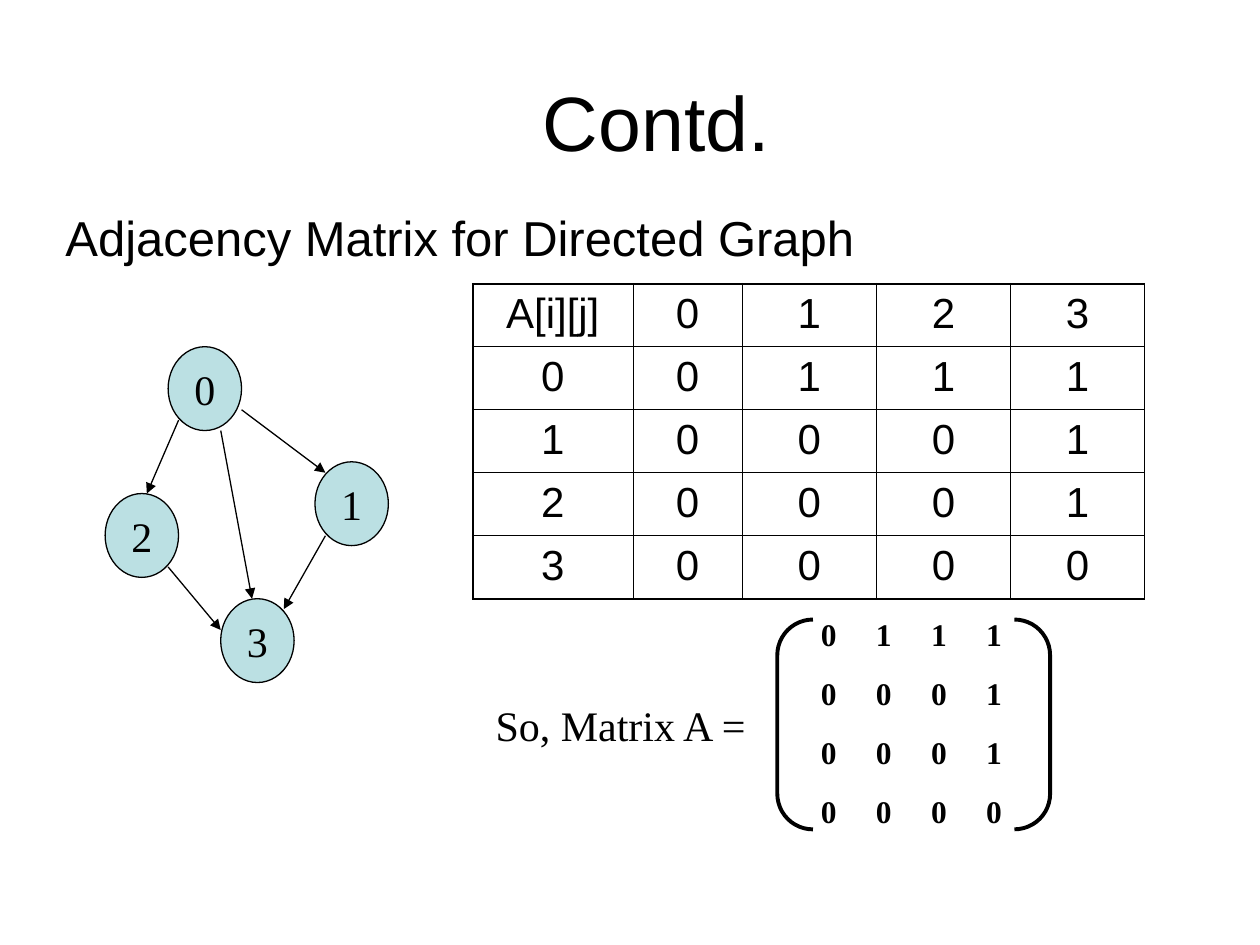
"""Build the slide on the adjacency matrix of a directed graph."""
from typing import NamedTuple

from lxml.etree import SubElement
from pptx import Presentation
from pptx.dml.color import RGBColor
from pptx.enum.shapes import MSO_CONNECTOR, MSO_SHAPE
from pptx.enum.text import MSO_ANCHOR, PP_ALIGN
from pptx.oxml.ns import qn
from pptx.util import Cm, Pt

HUES = {"ink": "000000", "node": "BBE0E3"}
SANS, SERIF = "Arial", "Times New Roman"
ROWS = ["0111", "0001", "0001", "0000"]
COLS = [3.23, 2.2, 2.71, 2.7, 2.7]
STEP = 1.11


class Style(NamedTuple):
    face: str
    size: int
    bold: bool = False
    align: PP_ALIGN = PP_ALIGN.LEFT


class Label(NamedTuple):
    text: str
    left: float
    top: float
    width: float
    height: float
    style: Style
    anchor: MSO_ANCHOR = MSO_ANCHOR.TOP


class Node(NamedTuple):
    name: str
    left: float
    top: float


class Edge(NamedTuple):
    x1: float
    y1: float
    x2: float
    y2: float


NODE = Style(SERIF, 24, align=PP_ALIGN.CENTER)
CELL = Style(SANS, 24, align=PP_ALIGN.CENTER)
ENTRY = Style(SERIF, 18, bold=True)
LABELS = [
    Label("Contd.", 1.27, 0.84, 23.93, 3.18,
          Style(SANS, 44, align=PP_ALIGN.CENTER), MSO_ANCHOR.MIDDLE),
    Label("Adjacency Matrix for Directed Graph", 1.07, 4.06, 17.98, 1.45,
          Style(SANS, 28)),
    Label("So, Matrix A =", 9.74, 13.97, 6.14, 1.27, Style(SERIF, 24)),
]
NODES = [
    Node("0", 3.39, 6.99),
    Node("1", 6.35, 9.31),
    Node("3", 4.45, 12.07),
    Node("2", 2.12, 9.95),
]
EDGES = [
    Edge(3.6, 8.47, 2.96, 9.95),
    Edge(3.39, 11.43, 4.45, 12.7),
    Edge(4.87, 8.26, 6.56, 9.53),
    Edge(6.56, 10.8, 5.72, 12.28),
    Edge(4.45, 8.68, 5.08, 12.07),
]


def hue(key: str) -> RGBColor:
    """Return a named colour."""
    return RGBColor.from_string(HUES[key])


def write(para, text: str, style: Style) -> None:
    """Add one styled run to a paragraph."""
    para.alignment = style.align
    run = para.add_run()
    run.text = text
    run.font.name = style.face
    run.font.size = Pt(style.size)
    run.font.bold = style.bold
    run.font.color.rgb = hue("ink")


def stroke(shape, width: float) -> None:
    """Give a shape or line a plain ink line."""
    shape.line.color.rgb = hue("ink")
    shape.line.width = Pt(width)


def add_box(shapes, left: float, top: float, width: float, height: float):
    """Add a wrapped text box and return its frame."""
    box = shapes.add_textbox(Cm(left), Cm(top), Cm(width), Cm(height))
    box.text_frame.word_wrap = True
    return box.text_frame


def add_label(shapes, label: Label) -> None:
    """Draw one line of text."""
    frame = add_box(shapes, *label[1:5])
    frame.vertical_anchor = label.anchor
    write(frame.paragraphs[0], label.text, label.style)


def add_node(shapes, node: Node) -> None:
    """Draw one vertex of the graph."""
    oval = shapes.add_shape(MSO_SHAPE.OVAL, Cm(node.left), Cm(node.top),
                            Cm(1.48), Cm(1.69))
    oval.shadow.inherit = False
    oval.fill.solid()
    oval.fill.fore_color.rgb = hue("node")
    stroke(oval, 0.75)
    frame = oval.text_frame
    frame.word_wrap = False
    frame.vertical_anchor = MSO_ANCHOR.MIDDLE
    write(frame.paragraphs[0], node.name, NODE)


def add_edge(shapes, edge: Edge) -> None:
    """Draw one arrow of the graph."""
    line = shapes.add_connector(MSO_CONNECTOR.STRAIGHT, *map(Cm, edge))
    stroke(line, 0.75)
    props = line.element.spPr
    SubElement(props.find(qn("a:ln")), qn("a:tailEnd"), type="triangle")
    SubElement(props, qn("a:effectLst"))


def rule(cell, side: str, width: float) -> None:
    """Draw one border of a cell."""
    props = cell._tc.get_or_add_tcPr()
    line = SubElement(props, qn(f"a:ln{side}"), w=str(Pt(width)))
    fill = SubElement(line, qn("a:solidFill"))
    SubElement(fill, qn("a:srgbClr"), val=HUES["ink"])


def add_grid(shapes) -> None:
    """Draw the table of vertex pairs."""
    data = [["A[i][j]", *"0123"]]
    data += [[str(i), *row] for i, row in enumerate(ROWS)]
    last = len(data) - 1
    table = shapes.add_table(len(data), len(COLS), Cm(9.53), Cm(5.72),
                             Cm(sum(COLS)), Cm(1.27 * len(data))).table
    table.first_row = table.horz_banding = False
    for col, width in zip(table.columns, COLS):
        col.width = Cm(width)
    for i, row in enumerate(data):
        for j, text in enumerate(row):
            cell = table.cell(i, j)
            outer = {"L": j == 0, "R": j == last, "T": i == 0, "B": i == last}
            for side, edge in outer.items():
                rule(cell, side, 1.08 if edge else 0.45)
            cell.fill.background()
            write(cell.text_frame.paragraphs[0], text, CELL)


def add_matrix(shapes) -> None:
    """Draw the bracketed matrix."""
    pair = shapes.add_shape(MSO_SHAPE.DOUBLE_BRACKET, Cm(15.67), Cm(12.49),
                            Cm(5.5), Cm(4.23))
    pair.adjustments[0] = 0.17
    pair.shadow.inherit = False
    pair.fill.background()
    stroke(pair, 2.25)
    frame = add_box(shapes, 16.3, 12.28, 4.66, 4.5)
    for i, row in enumerate(ROWS):
        para = frame.add_paragraph() if i else frame.paragraphs[0]
        para.space_before = Pt(12 if i else 0)
        tabs = SubElement(para._p.get_or_add_pPr(), qn("a:tabLst"))
        for j in range(1, len(row)):
            SubElement(tabs, qn("a:tab"), pos=str(Cm(STEP * j)), algn="l")
        write(para, "\t".join(row), ENTRY)


def main() -> None:
    """Build and save the slide."""
    deck = Presentation()
    deck.slide_width, deck.slide_height = Cm(25.4), Cm(19.05)
    shapes = deck.slides.add_slide(deck.slide_layouts[6]).shapes
    add_grid(shapes)
    graph = shapes.add_group_shape().shapes
    for node in NODES:
        add_node(graph, node)
    for edge in EDGES:
        add_edge(graph, edge)
    add_matrix(shapes)
    for label in LABELS:
        add_label(shapes, label)
    deck.save("out.pptx")


if __name__ == "__main__":
    main()
